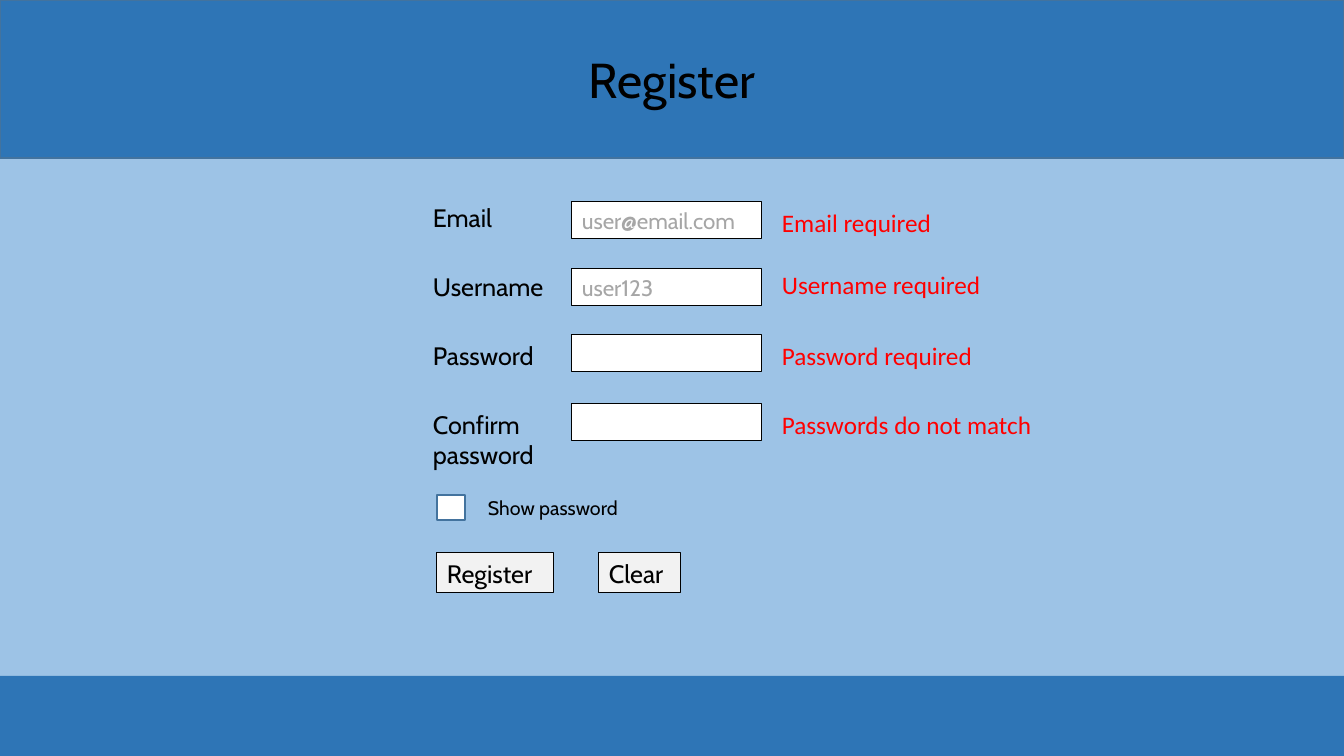
import pptx
import pptx.dml.color
import pptx.enum.shapes
import pptx.enum.text
import pptx.util

EMU_PER_PX = 914400 / 100.8
PAGE_WIDTH, PAGE_HEIGHT = 1344, 756
COLOURS = {
    "page": "9DC3E6",
    "band": "2E75B6",
    "edge": "43739E",
    "white": "FFFFFF",
    "button": "F2F2F2",
    "black": "000000",
    "hint": "A6A6A6",
    "error": "FF0000",
}
TITLE = {"name": "Cabin", "size": 35, "colour": "black"}
LABEL = {"name": "Cabin", "size": 18, "colour": "black"}
SMALL = {"name": "Cabin", "size": 14, "colour": "black"}
HINT = {"name": "Cabin", "size": 16, "colour": "hint"}
ERROR = {"name": "Calibri", "size": 18, "colour": "error"}

# label, hint, error, then the offsets of label, field and error from the form's top
FORM_ROWS = [
    ("Email", "user@email.com", "Email required", 0, 5, 5),
    ("Username", "user123", "Username required", 69, 72, 67),
    ("Password", "", "Password required", 138, 138, 138),
    ("Confirm password", "", "Passwords do not match", 207, 207, 207),
]


def px(length):
    return pptx.util.Emu(round(length * EMU_PER_PX))


def rgb(name):
    return pptx.dml.color.RGBColor.from_string(COLOURS[name])


def write(shape, text, style, align="LEFT", anchor="TOP"):
    frame = shape.text_frame
    settings = {
        "word_wrap": True,
        "auto_size": pptx.enum.text.MSO_AUTO_SIZE.NONE,
        "vertical_anchor": pptx.enum.text.MSO_ANCHOR[anchor],
        "margin_left": pptx.util.Inches(0.1),
        "margin_right": pptx.util.Inches(0.1),
        "margin_top": pptx.util.Inches(0.05),
        "margin_bottom": pptx.util.Inches(0.05),
    }
    for key, value in settings.items():
        setattr(frame, key, value)
    para = frame.paragraphs[0]
    para.alignment = pptx.enum.text.PP_ALIGN[align]
    span = para.add_run()
    span.text = text
    font_values = {"name": style["name"], "size": pptx.util.Pt(style["size"])}
    for key, value in font_values.items():
        setattr(span.font, key, value)
    span.font.color.rgb = rgb(style["colour"])


def add_text(page, box, text, style):
    write(page.shapes.add_textbox(*map(px, box)), text, style)


def add_box(page, box, fill, line=None, line_width=0.75, text="", style=LABEL):
    shape = page.shapes.add_shape(
        pptx.enum.shapes.MSO_SHAPE.RECTANGLE, *map(px, box))
    shape.shadow.inherit = False
    shape.fill.solid()
    shape.fill.fore_color.rgb = rgb(fill)
    if line:
        shape.line.color.rgb = rgb(line)
        shape.line.width = pptx.util.Pt(line_width)
    else:
        shape.line.fill.background()
    if text:
        write(shape, text, style)


def add_header(page, box):
    left, top, width, height = box
    add_box(page, box, "band", "edge", 1)
    title = page.shapes.title
    place = {"left": left, "top": top + 44, "width": width, "height": 70}
    for key, value in place.items():
        setattr(title, key, px(value))
    write(title, "Register", TITLE, "CENTER")
    # The title comes first in the page's drawing order; bring it above the band.
    title.element.getparent().append(title.element)


def add_form(page, box):
    left, top, width, _ = box
    field_left = left + 149
    error_left = left + 349
    for label, hint, error, label_y, field_y, error_y in FORM_ROWS:
        label_height = 71 if " " in label else 40
        add_text(page, (left, top + label_y, 149, label_height), label, LABEL)
        add_box(page, (field_left, top + field_y, 190, 37), "white", "black",
                text=hint, style=HINT)
        add_text(page, (error_left, top + error_y, left + width - error_left, 40),
                 error, ERROR)


def add_actions(page, box):
    left, top, width, _ = box
    add_box(page, (left, top + 4, 28, 25), "white", "edge", 1)
    add_text(page, (left + 41, top, 195, 34), "Show password", SMALL)
    for text, offset, button_width in (("Register", 0, 117), ("Clear", 162, 82)):
        add_box(page, (left + offset, top + 62, button_width, 40), "button", "black",
                text=text)


def add_register_page(deck):
    page = deck.slides.add_slide(deck.slide_layouts[5])
    page.background.fill.solid()
    page.background.fill.fore_color.rgb = rgb("page")
    add_box(page, (0, 676, PAGE_WIDTH, PAGE_HEIGHT - 676), "band")
    add_header(page, (0, 0, PAGE_WIDTH, 158))
    add_form(page, (423, 197, 628, 278))
    add_actions(page, (437, 491, 245, 102))


def main():
    deck = pptx.Presentation()
    deck.slide_width = px(PAGE_WIDTH)
    deck.slide_height = px(PAGE_HEIGHT)
    add_register_page(deck)
    deck.save("out.pptx")


if __name__ == "__main__":
    main()
